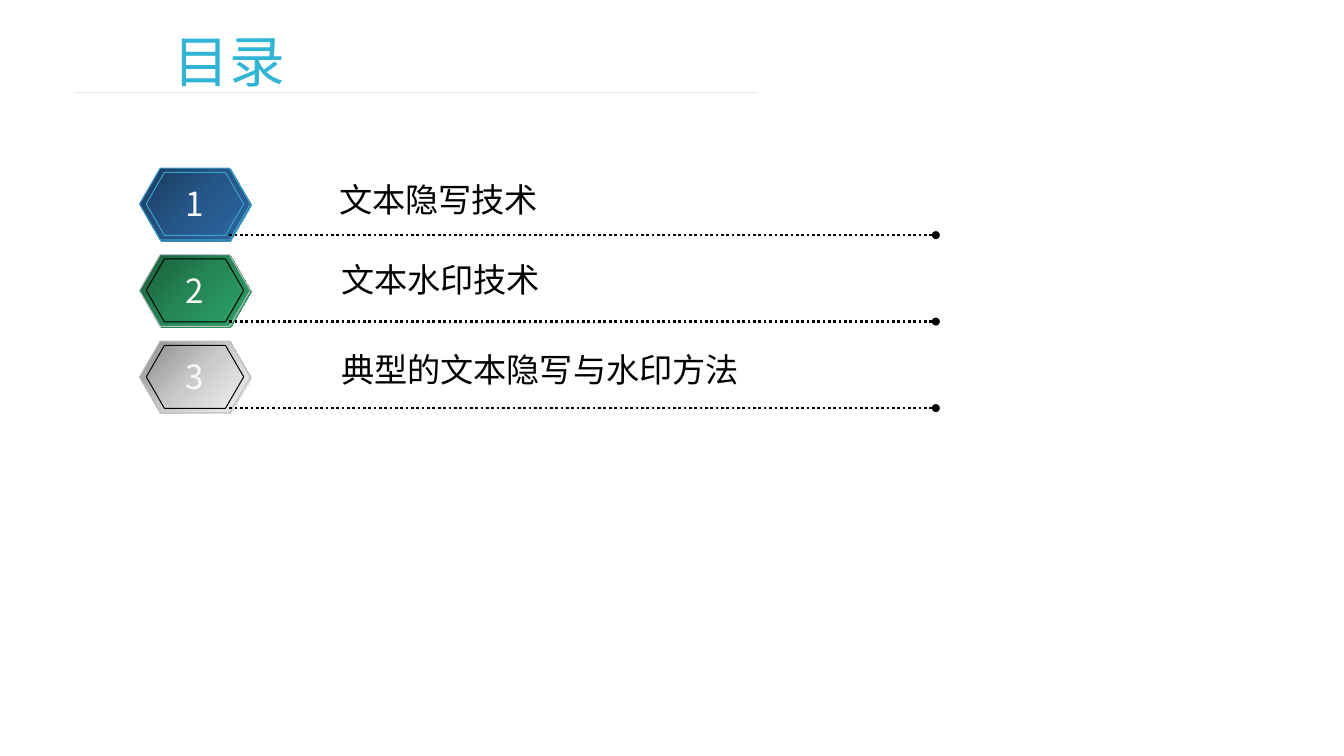
"""Builds a contents slide with three numbered hexagon entries."""
from lxml import etree
from pptx import Presentation
from pptx import util as u
from pptx.dml.color import RGBColor
from pptx.enum import dml, shapes, text
from pptx.oxml.ns import qn

COLORS = {
    "title": "31B5D6", "rule": "E4E4E4", "ink": "000000", "number": "F8F8F8",
    "sky": "3DA2CB", "silver": "C0C0C0",
}
GRADIENTS = {
    "blue": ("1A3C5F", "255687", "2B66A1"),
    "green": ("1A5F3C", "258756", "2BA166"),
    "grey": ("8F8E8E", "CBCACA", "F1F0F0"),
}
FONT = "Noto Sans CJK SC"


class Deck:
    """Holds the style and current slide; lengths are percent of its size."""

    def __init__(self, width, height):
        self.prs = Presentation()
        self.prs.slide_width, self.prs.slide_height = u.Inches(width), u.Inches(height)
        self.s = self.prs.slides.add_slide(self.prs.slide_layouts[6])

    def place(self, x, y, *size):
        """Turns alternating shares of width and height into lengths."""
        sides = (self.prs.slide_width, self.prs.slide_height) * 2
        return [round(share * side / 100) for share, side in zip((x, y, *size), sides)]

    def text(self, box, words, size, color, align=text.PP_ALIGN.LEFT, wrap=False):
        """Adds one line of text."""
        tf = self.s.shapes.add_textbox(*self.place(*box)).text_frame
        tf.word_wrap = wrap
        tf.auto_size = text.MSO_AUTO_SIZE.SHAPE_TO_FIT_TEXT
        p = tf.paragraphs[0]
        p.text, p.alignment = words, align
        p.font.size, p.font.name = u.Pt(size), FONT
        p.font.color.rgb = RGBColor.from_string(COLORS[color])
        etree.SubElement(p._p.pPr.find(qn("a:defRPr")), qn("a:ea"), typeface=FONT)

    def line(self, x1, x2, y, color, width, dotted=False):
        """Adds a level line, with a round end if dotted."""
        ends = self.place(x1, y, x2, y)
        sp = self.s.shapes.add_connector(shapes.MSO_CONNECTOR.STRAIGHT, *ends)
        sp.line.color.rgb = RGBColor.from_string(COLORS[color])
        sp.line.width = u.Pt(width)
        if dotted:
            sp.line.dash_style = dml.MSO_LINE.ROUND_DOT
            etree.SubElement(sp.line._get_or_add_ln(), qn("a:tailEnd"), type="oval")
        etree.SubElement(sp._element.spPr, qn("a:effectLst"))

    def hexagon(self, box, gradient, outline):
        """Adds a hexagon with a diagonal three-stop gradient."""
        sp = self.s.shapes.add_shape(shapes.MSO_SHAPE.HEXAGON, *self.place(*box))
        sp.shadow.inherit = False
        sp.adjustments[0], sp.adjustments[1] = 0.289, 1.155
        sp.fill.gradient()
        sp.fill.gradient_angle = 315
        stops = sp._element.spPr.find(qn("a:gradFill")).find(qn("a:gsLst"))
        stops.clear()
        for i, color in enumerate(GRADIENTS[gradient]):
            gs = etree.SubElement(stops, qn("a:gs"), pos=str(i * 50000))
            etree.SubElement(gs, qn("a:srgbClr"), val=color)
        if outline:
            sp.line.color.rgb = RGBColor.from_string(COLORS[outline])
            sp.line.width = u.Pt(0.75)
        else:
            sp.line.fill.background()

    def entry(self, number, label, label_box, gradient, outlines):
        """Adds a numbered badge, its dotted line and its label."""
        top = 22.25 + (number - 1) * 11.44
        layers = ((10.46, 0.15, 8.25, 9.48), (10.38, 0, 8.25, 9.48), (10.88, 0.55, 7.25, 8.34))
        for (x, dy, w, h), outline in zip(layers, outlines):
            self.hexagon((x, top + dy, w, h), gradient, outline)
        self.line(17.07, 69.63, top + 8.85, "ink", 2, dotted=True)
        self.text(label_box, label, 25, "ink")
        self.text((13.02, top + 1.4, 2.99, 6.7), str(number), 25, "number", text.PP_ALIGN.CENTER)


deck = Deck(14.06, 7.91)
deck.text((12.23, 2.91, 63.73, 10.37), "目录", 42, "title", wrap=True)
deck.line(5.55, 56.33, 12.26, "rule", 0.5)

plain = (None, "silver", "ink")
entries = (
    ("文本隐写技术", (24.54, 23.14, 16.5, 6.7), "blue", ("sky",) * 3),
    ("文本水印技术", (24.68, 33.63, 16.5, 6.7), "green", plain),
    ("典型的文本隐写与水印方法", (24.68, 45.64, 31.44, 6.7), "grey", plain),
)
for number, entry in enumerate(entries, 1):
    deck.entry(number, *entry)

deck.prs.save("out.pptx")
